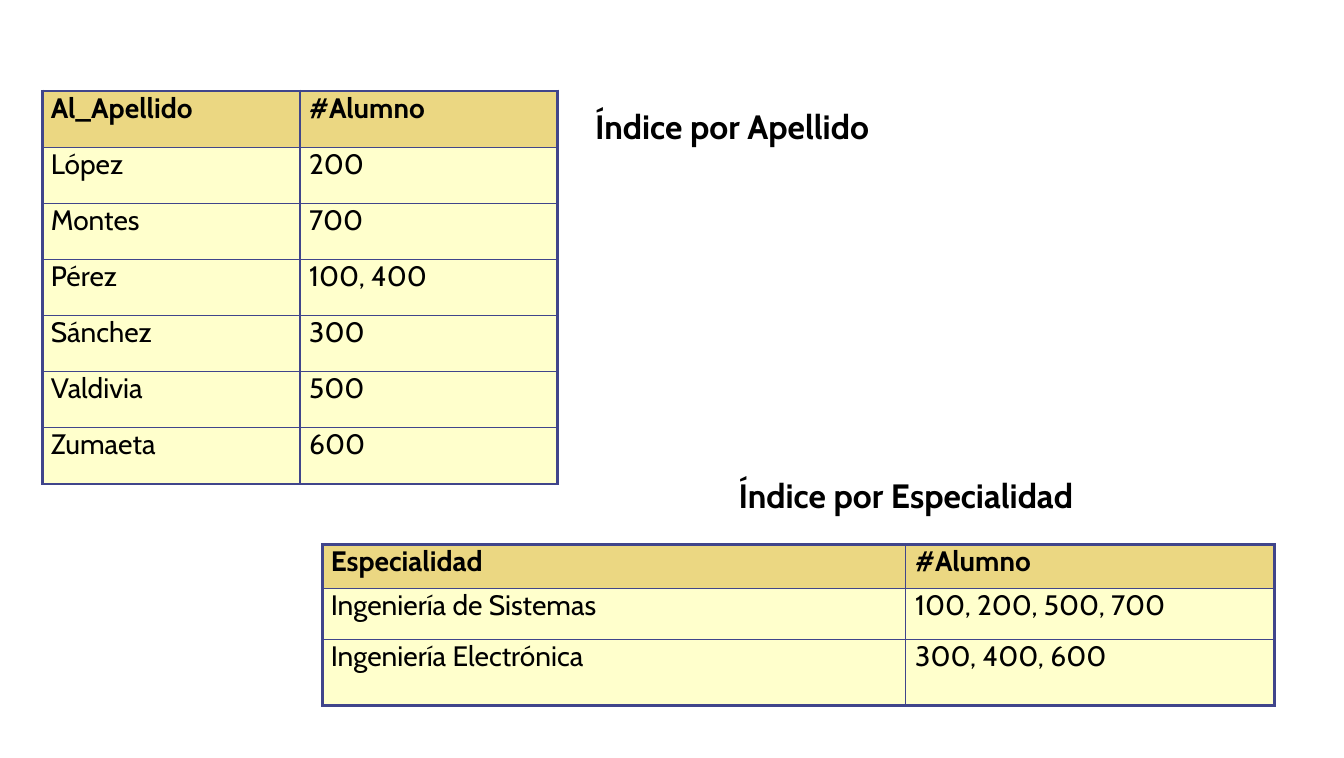
from lxml import etree
from pptx import Presentation
from pptx.dml.color import RGBColor
from pptx.enum.text import MSO_ANCHOR, MSO_AUTO_SIZE
from pptx.oxml.ns import qn
from pptx.util import Pt

BLACK = RGBColor(0x00, 0x00, 0x00)
GOLD = RGBColor(0xEB, 0xD7, 0x82)
CREAM = RGBColor(0xFF, 0xFF, 0xCC)
INDIGO = RGBColor(0x40, 0x45, 0x8B)
TOP = MSO_ANCHOR.TOP
GROW = MSO_AUTO_SIZE.SHAPE_TO_FIT_TEXT
THIN, THICK = 1, 2.25

SURNAMES = [
    ("Al_Apellido", "#Alumno"),
    ("López", "200"),
    ("Montes", "700"),
    ("Pérez", "100, 400"),
    ("Sánchez", "300"),
    ("Valdivia", "500"),
    ("Zumaeta", "600"),
]
SPECIALTIES = [
    ("Especialidad", "#Alumno"),
    ("Ingeniería de Sistemas", "100, 200, 500, 700"),
    ("Ingeniería Electrónica", "300, 400, 600"),
]


def write(tf, text, *, font, size, bold=False, color=BLACK):
    tf.word_wrap = True
    r = tf.paragraphs[0].add_run()
    r.text = text
    r.font.name = font
    r.font.size = Pt(size)
    r.font.bold = bold
    r.font.color.rgb = color


def set_borders(cell, widths):
    """Draw the left, right, top and bottom borders, with widths in that order."""
    tcPr = cell._tc.get_or_add_tcPr()
    for i, (side, width) in enumerate(zip("LRTB", widths)):
        ln = etree.Element(qn(f"a:ln{side}"), w=str(Pt(width)))
        fill = etree.SubElement(ln, qn("a:solidFill"))
        etree.SubElement(fill, qn("a:srgbClr"), val=str(INDIGO))
        tcPr.insert(i, ln)


class IndexSlide:
    font = "Cabin"
    heading_size = 24
    cell_size = 20

    def __init__(self, prs):
        self.s = prs.slides.add_slide(prs.slide_layouts[6])

    def heading(self, text, x, y, w, h=28.8):
        tf = self.s.shapes.add_textbox(Pt(x), Pt(y), Pt(w), Pt(h)).text_frame
        tf.margin_left = tf.margin_right = tf.margin_top = tf.margin_bottom = 0
        tf.auto_size = GROW
        write(tf, text, font=self.font, size=self.heading_size, bold=True)

    def table(self, rows, x, y, widths, heights, indents):
        table = self.s.shapes.add_table(
            len(rows), len(widths), Pt(x), Pt(y), Pt(sum(widths)), Pt(sum(heights))
        ).table
        for col, width in zip(table.columns, widths):
            col.width = Pt(width)
        last_row, last_col = len(rows) - 1, len(widths) - 1
        for i, (row, height) in enumerate(zip(rows, heights)):
            table.rows[i].height = Pt(height)
            for j, text in enumerate(row):
                cell = table.cell(i, j)
                cell.margin_left = Pt(indents[j])
                cell.margin_right = cell.margin_top = cell.margin_bottom = 0
                cell.vertical_anchor = TOP
                cell.fill.solid()
                cell.fill.fore_color.rgb = GOLD if i == 0 else CREAM
                write(cell.text_frame, text, font=self.font,
                      size=self.cell_size, bold=i == 0)
                outer = (j == 0, j == last_col, i == 0, i == last_row)
                set_borders(cell, [THICK if edge else THIN for edge in outer])


def main():
    prs = Presentation()
    prs.slide_width, prs.slide_height = Pt(957.6), Pt(540)
    slide = IndexSlide(prs)
    slide.heading("Índice por Apellido", 424, 75.6, 306)
    slide.heading("Índice por Especialidad", 526.3, 338.4, 376)
    slide.table(SURNAMES, 30.2, 64.8, [183.6] * 2, [40] * 7, (6, 6.5))
    slide.table(SPECIALTIES, 229.7, 388.1, [415.4, 262.8], [31.2, 36.2, 47.1], (6, 7))
    prs.save("out.pptx")


if __name__ == "__main__":
    main()
